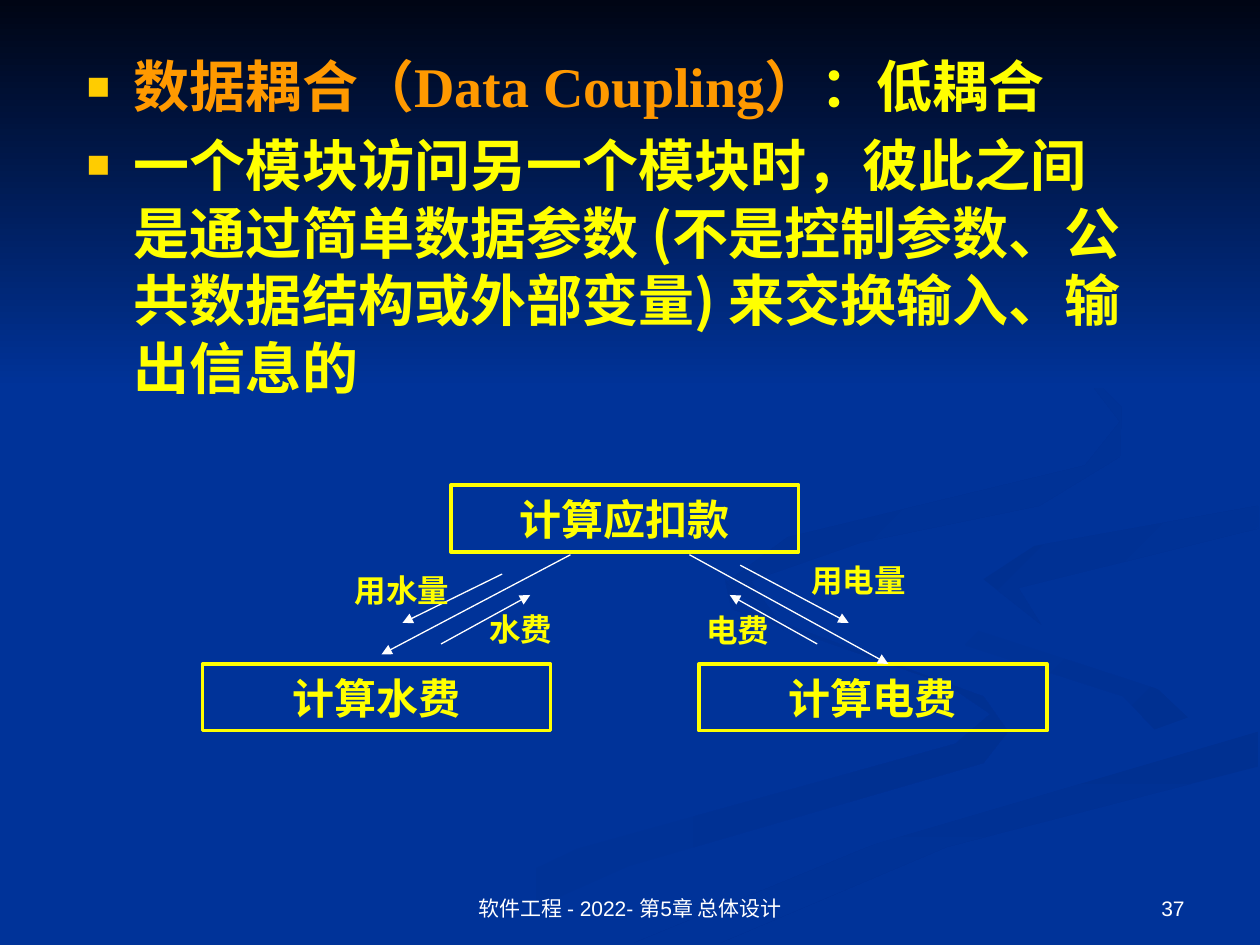
from dataclasses import dataclass

from lxml import etree
from pptx import Presentation
from pptx import util as u
from pptx.dml.color import RGBColor
from pptx.enum import shapes, text
from pptx.oxml import ns


@dataclass(frozen=True)
class Theme:
    blue: str = "003399"
    dim: str = "003091"
    night: str = "000514"
    yellow: str = "FFFF00"
    orange: str = "FF9900"
    gold: str = "FFCC00"
    white: str = "FFFFFF"
    serif: str = "Times New Roman"
    sans: str = "Arial"
    asian: str = "Noto Sans CJK SC"
    body: float = 32
    box: float = 24
    label: float = 18
    foot: float = 12
    pitch: float = 38.6


T = Theme()
ALIGN = text.PP_ALIGN
ANCHOR = text.MSO_ANCHOR
KIND = shapes.MSO_SHAPE
WIDE, HIGH = 720, 540

# Background swirls: first colour, last colour, gradient angle, outline
SWIRLS = [
    (T.blue, T.dim, 0,
     [(562, 398), (428, 349), (414, 330), (418, 348), (541, 391), (566, 408),
      (546, 425), (330, 485), (216, 539), (260, 539), (359, 495), (562, 436),
      (576, 418)]),
    (T.blue, T.dim, 45,
     [(679, 410), (662, 394), (536, 353), (521, 334), (552, 369), (642, 398),
      (661, 418), (644, 436)]),
    (T.dim, T.blue, 90,
     [(362, 539), (411, 539), (541, 484), (719, 438), (719, 418), (501, 482)]),
    (T.blue, T.blue, 0,
     [(522, 334), (662, 394), (679, 410), (507, 472), (343, 539), (501, 482),
      (719, 418), (719, 279)]),
    (T.dim, T.blue, 45,
     [(562, 331), (595, 357), (582, 336), (719, 302), (719, 289), (591, 312)]),
    (T.dim, T.blue, 45,
     [(492, 310), (594, 289), (640, 261), (641, 233), (607, 198), (640, 241),
      (620, 266), (450, 307), (415, 333), (448, 360), (429, 332)]),
]

# Call tree: boxes, arrows and the data passed along them
BOXES = [("计算应扣款", 257.6, 277.2), ("计算水费", 115.8, 379.4),
         ("计算电费", 399.4, 379.4)]
ARROWS = [(326, 317, 218, 374), (394, 317, 507.6, 379.4),
          (287, 328, 230, 356), (423, 323, 485, 356),
          (467, 368, 417, 340), (252, 368, 303, 340)]
LABELS = [("用水量", 190, 322.6), ("水费", 258, 345),
          ("电费", 382, 345.6), ("用电量", 451, 316.8)]


def rgb(code):
    return RGBColor.from_string(code)


def style(run, size, color, face=T.serif, bold=True):
    font = run.font
    font.size, font.bold, font.name = u.Pt(size), bold, face
    font.color.rgb = rgb(color)
    asian = etree.SubElement(run._r.get_or_add_rPr(), ns.qn("a:ea"))
    asian.set("typeface", T.asian)


def shade(form, first, last, angle):
    form.shadow.inherit = False
    form.line.fill.background()
    form.fill.gradient()
    form.fill.gradient_angle = -angle % 360
    for stop, color in zip(form.fill.gradient_stops, (first, last)):
        stop.color.rgb = rgb(color)


def swirl(slide, first, last, angle, points):
    pen = slide.shapes.build_freeform(*points[0], scale=u.Pt(1))
    pen.add_line_segments(points[1:], close=True)
    shade(pen.convert_to_shape(), first, last, angle)


def block(slide, *place):
    return slide.shapes.add_shape(KIND.RECTANGLE, *map(u.Pt, place))


def area(slide, *place):
    return slide.shapes.add_textbox(*map(u.Pt, place))


def write(shape, words, size, color=T.yellow, face=T.serif, bold=True,
          align=ALIGN.CENTER, anchor=ANCHOR.MIDDLE):
    frame = shape.text_frame
    frame.word_wrap = True
    frame.vertical_anchor = anchor
    frame.text = words
    para = frame.paragraphs[0]
    para.alignment = align
    style(para.runs[0], size, color, face, bold)


def box(slide, words, left, top):
    rect = block(slide, left, top, 198.8, 38.2)
    rect.shadow.inherit = False
    rect.fill.background()
    rect.line.color.rgb = rgb(T.yellow)
    rect.line.width = u.Pt(2)
    write(rect, words, T.box)


def arrow(slide, *ends):
    link = slide.shapes.add_connector(shapes.MSO_CONNECTOR.STRAIGHT,
                                      *map(u.Pt, ends))
    link.line.color.rgb = rgb(T.white)
    link.line.width = u.Pt(0.75)
    tip = etree.SubElement(link.line._get_or_add_ln(), ns.qn("a:tailEnd"))
    tip.set("type", "triangle")
    etree.SubElement(link._element.spPr, ns.qn("a:effectLst"))


def bullet(para):
    props = para._p.get_or_add_pPr()
    props.set("marL", str(u.Pt(27)))
    props.set("indent", str(-u.Pt(27)))
    tint = etree.SubElement(props, ns.qn("a:buClr"))
    etree.SubElement(tint, ns.qn("a:srgbClr")).set("val", T.gold)
    for tag, key, value in (("a:buSzPct", "val", "70000"),
                            ("a:buFont", "typeface", T.sans),
                            ("a:buChar", "char", "■")):
        etree.SubElement(props, ns.qn(tag)).set(key, value)
    para.line_spacing = u.Pt(T.pitch)


def body(slide):
    frame = area(slide, 42.5, 26, 612, 222).text_frame
    frame.word_wrap = True
    head = frame.paragraphs[0]
    head.text = "数据耦合（Data Coupling）"
    head.add_run().text = "：低耦合"
    note = frame.add_paragraph()
    note.text = ("一个模块访问另一个模块时，彼此之间是通过简单数据参数 "
                 "(不是控制参数、公共数据结构或外部变量) 来交换输入、输出信息的")
    for para in (head, note):
        bullet(para)
    note.space_before = u.Pt(6.4)
    style(head.runs[0], T.body, T.orange)
    style(head.runs[1], T.body, T.yellow)
    style(note.runs[0], T.body, T.yellow, T.asian)


def main():
    deck = Presentation()
    deck.slide_width, deck.slide_height = u.Pt(WIDE), u.Pt(HIGH)
    slide = deck.slides.add_slide(deck.slide_layouts[6])

    # Background
    slide.background.fill.solid()
    slide.background.fill.fore_color.rgb = rgb(T.blue)
    for item in SWIRLS:
        swirl(slide, *item)
    shade(block(slide, 0, 0, WIDE, 222), T.night, T.blue, 90)

    # Text and call tree
    body(slide)
    for item in BOXES:
        box(slide, *item)
    for ends in ARROWS:
        arrow(slide, *ends)
    for words, left, top in LABELS:
        write(area(slide, left, top, 79.2, 28.8), words, T.label)

    # Footer and page number
    for words, left, width, align in (
            ("软件工程 - 2022- 第5章 总体设计", 246, 228, ALIGN.CENTER),
            ("37", 516, 168, ALIGN.RIGHT)):
        write(area(slide, left, 492, width, 37.4), words, T.foot, T.white,
              T.sans, False, align, ANCHOR.BOTTOM)
    deck.save("out.pptx")


if __name__ == "__main__":
    main()
